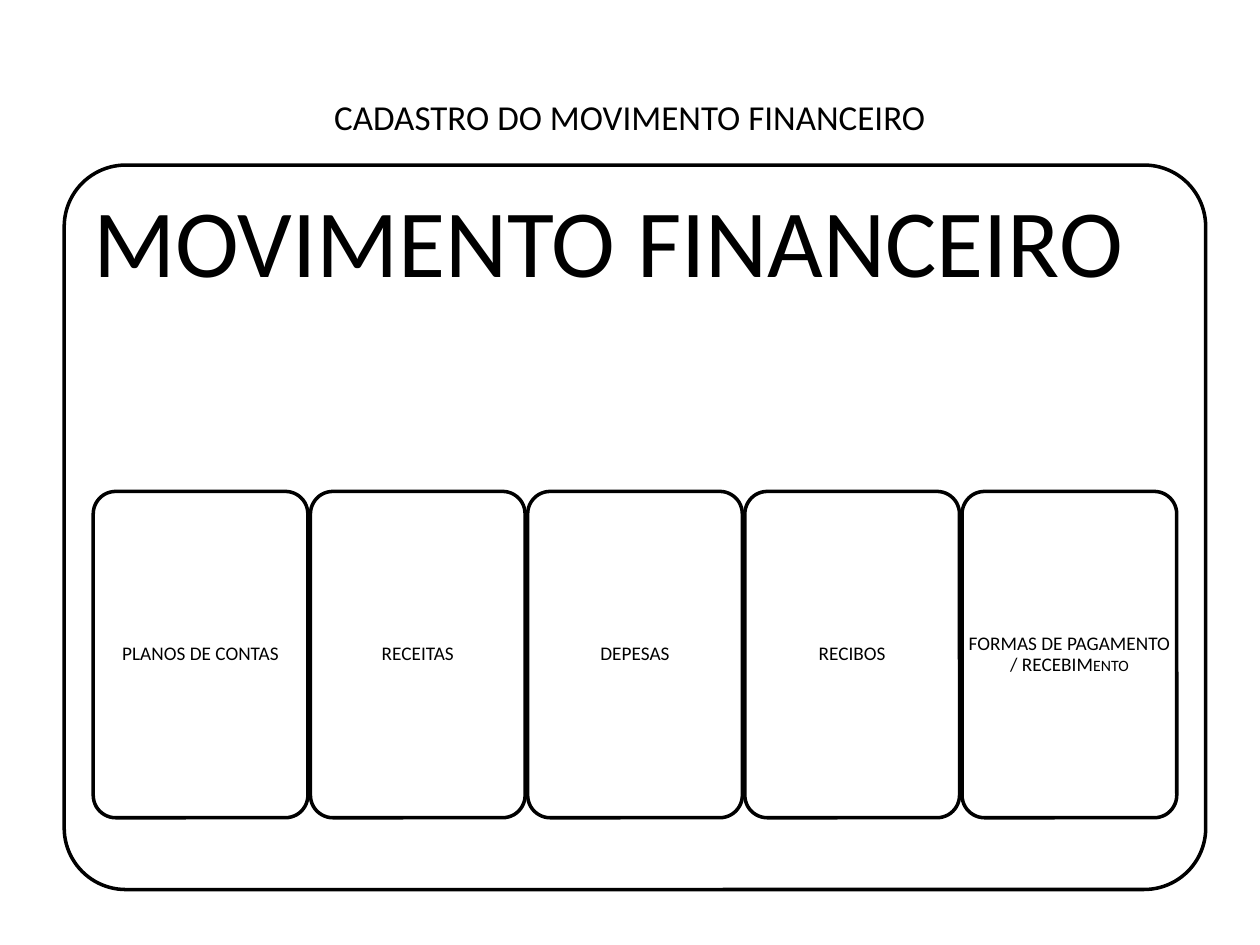
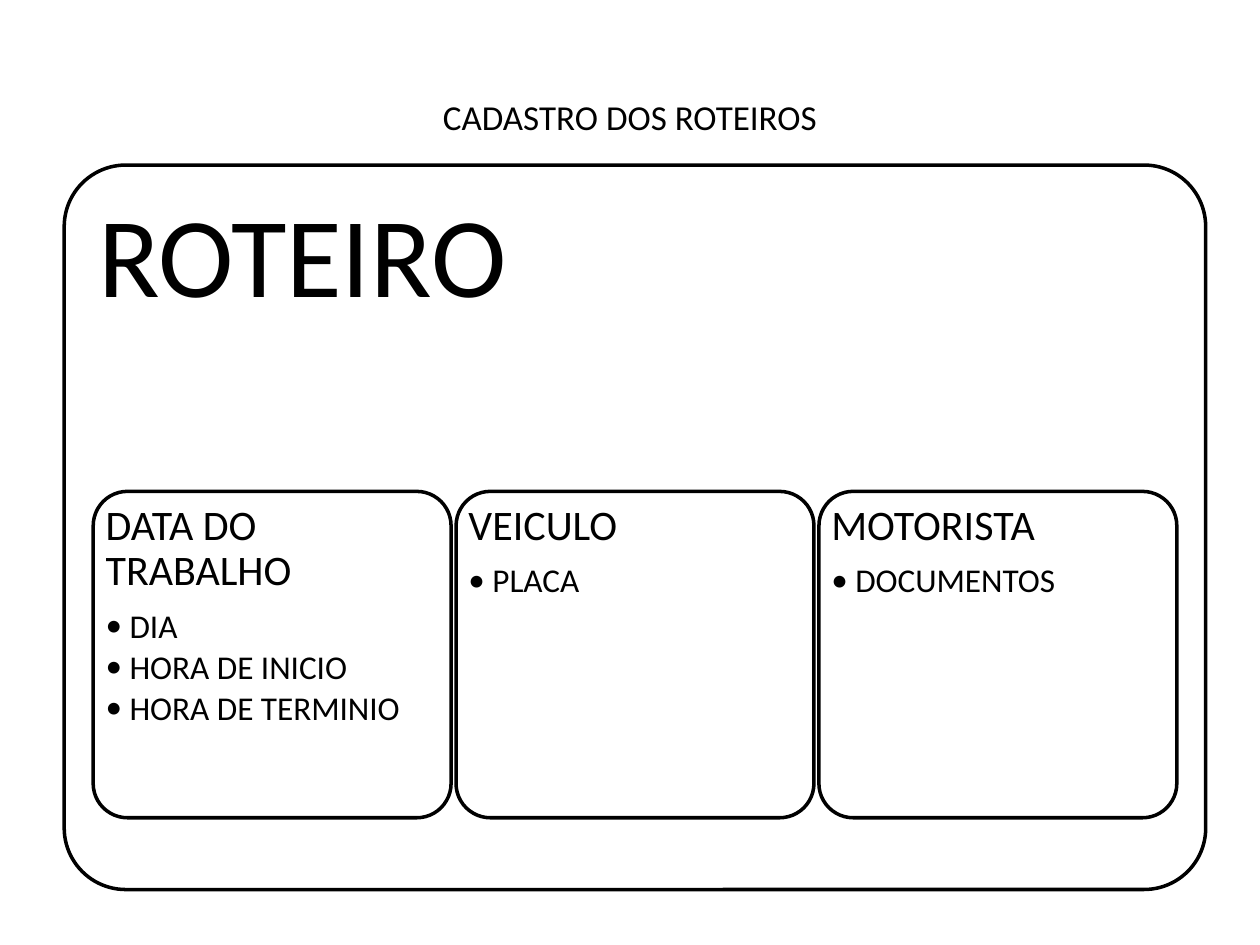
import pptx
import pptx.util
import pptx.dml.color
import pptx.enum.shapes
import pptx.enum.text
import pptx.oxml.ns
import lxml.etree
from pptx.util import Inches, Pt

COLORS = {"ink": "000000", "paper": "FFFFFF"}
FONT = "Calibri"
PANEL = (0.51, 1.31, 9.06, 5.75)
CARDS_LEFT, CARDS_TOP, CARDS_WIDTH, CARDS_HEIGHT = 0.74, 3.9, 8.6, 2.59
ALIGN = pptx.enum.text.PP_ALIGN
ANCHOR = pptx.enum.text.MSO_ANCHOR

SLIDES = [
    {
        "title": "CADASTRO DO MOVIMENTO FINANCEIRO",
        "heading": "MOVIMENTO FINANCEIRO", "heading_size": 55, "heading_inset": 0.23,
        "gap": 0.02, "card_size": 11, "card_inset": 0.04, "centred": True,
        "cards": [
            ([("PLANOS DE CONTAS", 11)], []),
            ([("RECEITAS", 11)], []),
            ([("DEPESAS", 11)], []),
            ([("RECIBOS", 11)], []),
            ([("FORMAS DE PAGAMENTO / RECEBIM", 11), ("ENTO", 9)], []),
        ],
    },
    {
        "title": "CADASTRO DOS ROTEIROS",
        "heading": "ROTEIRO", "heading_size": 65, "heading_inset": 0.27,
        "gap": 0.04, "card_size": 24, "card_inset": 0.1, "centred": False,
        "cards": [
            ([("DATA DO TRABALHO", 24)], ["DIA", "HORA DE INICIO", "HORA DE TERMINIO"]),
            ([("VEICULO", 24)], ["PLACA"]),
            ([("MOTORISTA", 24)], ["DOCUMENTOS"]),
        ],
    },
]
BULLET_SIZE = 19


def color(name):
    return pptx.dml.color.RGBColor.from_string(COLORS[name])


def add_frame(page, place, rounding):
    frame = page.shapes.add_shape(
        pptx.enum.shapes.MSO_SHAPE.ROUNDED_RECTANGLE, *map(Inches, place))
    frame.adjustments[0] = rounding
    frame.shadow.inherit = False
    frame.fill.solid()
    frame.fill.fore_color.rgb = color("paper")
    frame.line.color.rgb = color("ink")
    frame.line.width = Pt(2)


def add_text_area(page, place, inset, anchor):
    area = page.shapes.add_textbox(*map(Inches, place)).text_frame
    area.word_wrap = True
    area.vertical_anchor = anchor
    area.margin_left = area.margin_right = Inches(inset)
    area.margin_top = area.margin_bottom = Inches(inset)
    return area


def style(paragraph, size, align=ALIGN.LEFT, after=0.35, line=0.9):
    paragraph.alignment = align
    paragraph.line_spacing = line
    paragraph.space_after = Pt(round(size * after, 1))
    paragraph.font.name = FONT
    paragraph.font.size = Pt(size)
    paragraph.font.color.rgb = color("ink")


def add_bullet(area, text):
    paragraph = area.add_paragraph()
    paragraph.text = text
    paragraph.level = 1
    style(paragraph, BULLET_SIZE, after=0.15)
    properties = paragraph._p.get_or_add_pPr()
    properties.set("marL", str(Inches(0.19)))
    properties.set("indent", str(-Inches(0.19)))
    name = pptx.oxml.ns.qn
    spacing = properties.find(name("a:spcAft"))
    spacing.addnext(lxml.etree.Element(name("a:buChar"), char="•"))
    spacing.addnext(lxml.etree.Element(name("a:buFont"), typeface=FONT))


def add_card(page, place, content, lead, bullets):
    add_frame(page, place, 0.105)
    centred = content["centred"]
    area = add_text_area(page, place, content["card_inset"],
                         ANCHOR.MIDDLE if centred else ANCHOR.TOP)
    paragraph = area.paragraphs[0]
    style(paragraph, content["card_size"], ALIGN.CENTER if centred else ALIGN.LEFT)
    for text, size in lead:
        span = paragraph.add_run()
        span.text = text
        span.font.size = Pt(size)
    for text in bullets:
        add_bullet(area, text)


def add_page(deck, content):
    page = deck.slides.add_slide(deck.slide_layouts[6])
    title = add_text_area(page, (0.5, 0.3, 9, 1.25), 0.1, ANCHOR.MIDDLE)
    title.text = content["title"]
    style(title.paragraphs[0], 20, ALIGN.CENTER, after=0, line=1.0)

    add_frame(page, PANEL, 0.085)
    heading = add_text_area(page, PANEL, content["heading_inset"], ANCHOR.TOP)
    heading.text = content["heading"]
    style(heading.paragraphs[0], content["heading_size"])

    count, gap = len(content["cards"]), content["gap"]
    width = (CARDS_WIDTH - gap * (count - 1)) / count
    for index, (lead, bullets) in enumerate(content["cards"]):
        place = (CARDS_LEFT + index * (width + gap), CARDS_TOP, width, CARDS_HEIGHT)
        add_card(page, place, content, lead, bullets)


deck = pptx.Presentation()
deck.slide_width, deck.slide_height = Inches(10), Inches(7.5)
for content in SLIDES:
    add_page(deck, content)
deck.save("out.pptx")
